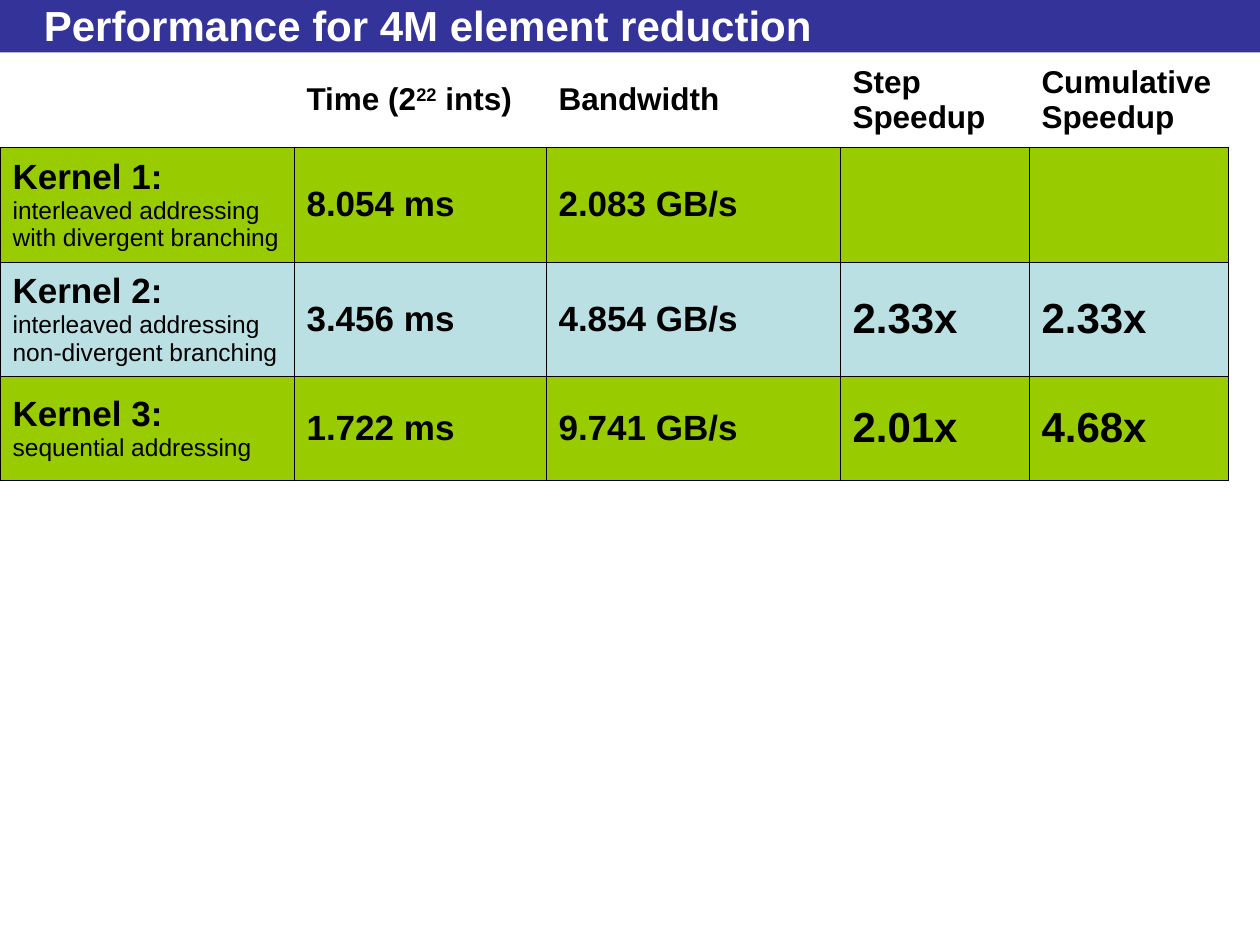
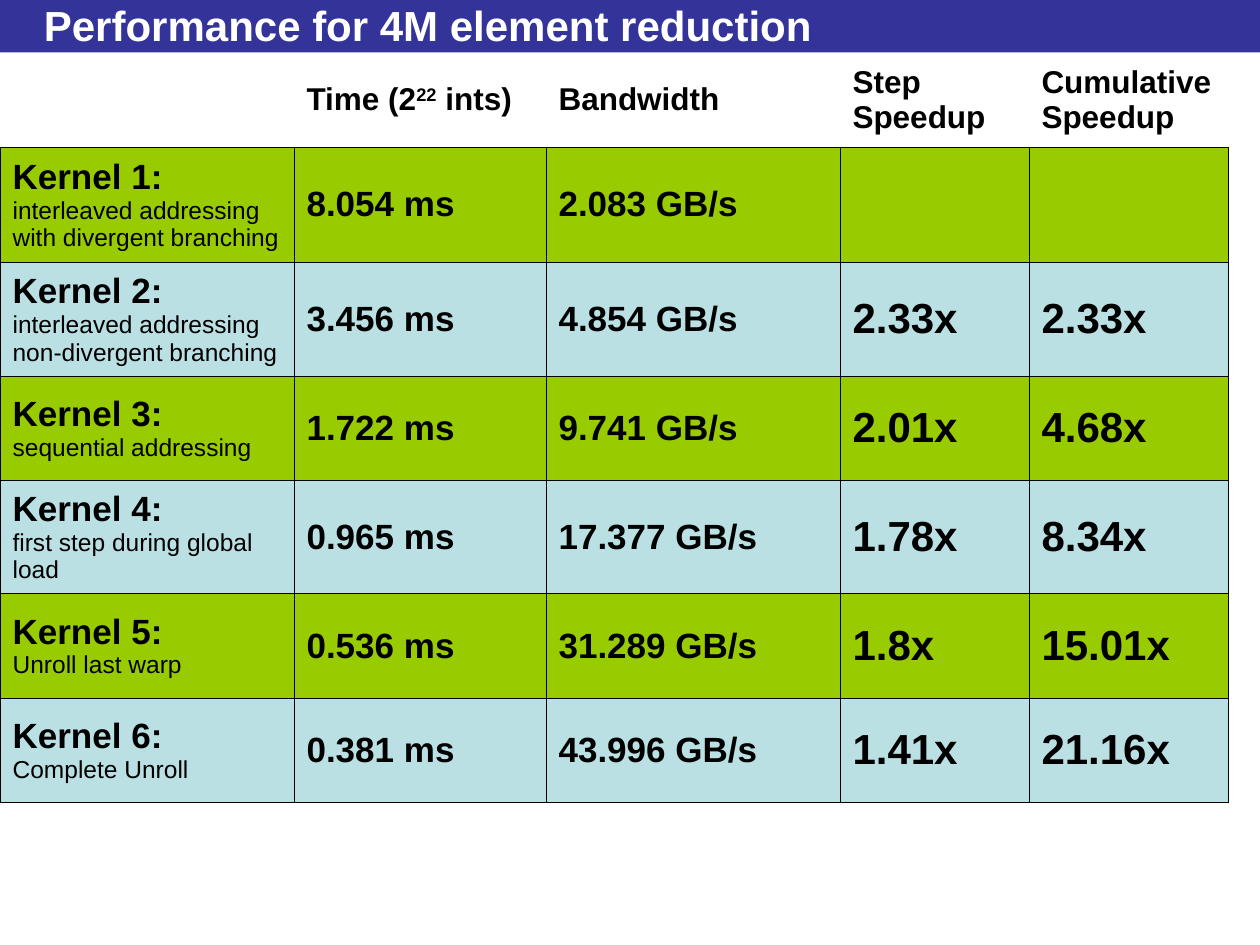
from dataclasses import dataclass

from lxml.etree import SubElement
from pptx import Presentation
from pptx.dml.color import RGBColor
from pptx.enum.shapes import MSO_SHAPE
from pptx.enum.text import MSO_ANCHOR
from pptx.oxml.ns import qn
from pptx.slide import Slide
from pptx.table import Table, _Cell
from pptx.text.text import _Paragraph
from pptx.util import Pt

COLORS = {
    "band": "333399",
    "title": "FFFFFF",
    "text": "000000",
    "border": "000000",
    "odd_row": "99CC00",
    "even_row": "BBE0E3",
}
FONT = "Arial"
TITLE = "Performance for 4M element reduction"
SLIDE_WIDTH, SLIDE_HEIGHT = 720, 540
BAND_HEIGHT = 30
HEADER_HEIGHT = 54
COLUMN_WIDTHS = (168, 144, 168, 108, 114)
BORDER_WIDTH = 0.45
ALL_SIDES = "LRTB"


@dataclass(frozen=True)
class Span:
    text: str
    size: float
    bold: bool = True
    superscript: bool = False


@dataclass(frozen=True)
class Kernel:
    description: tuple[str, ...]
    time: str
    bandwidth: str
    step_speedup: str
    cumulative_speedup: str
    row_height: float


HEADINGS = (
    (),
    (Span("Time (2", 18), Span("22", 18, superscript=True), Span(" ints)", 18)),
    (Span("Bandwidth", 18),),
    (Span("Step Speedup", 18),),
    (Span("Cumulative Speedup", 18),),
)
KERNELS = (
    Kernel(("interleaved addressing", "with divergent branching"),
           "8.054 ms", "2.083 GB/s", "", "", 66),
    Kernel(("interleaved addressing", "non-divergent branching"),
           "3.456 ms", "4.854 GB/s", "2.33x", "2.33x", 65),
    Kernel(("sequential addressing",),
           "1.722 ms", "9.741 GB/s", "2.01x", "4.68x", 59.5),
    Kernel(("first step during global load",),
           "0.965 ms", "17.377 GB/s", "1.78x", "8.34x", 64.5),
    Kernel(("Unroll last warp",),
           "0.536 ms", "31.289 GB/s", "1.8x", "15.01x", 59.5),
    Kernel(("Complete Unroll",),
           "0.381 ms", "43.996 GB/s", "1.41x", "21.16x", 59.5),
)
KERNELS_PER_SLIDE = (3, 6)


def add_span(paragraph: _Paragraph, span: Span, color: str = "text") -> None:
    run = paragraph.add_run()
    run.text = span.text
    run.font.name = FONT
    run.font.size = Pt(span.size)
    run.font.bold = span.bold
    run.font.color.rgb = RGBColor.from_string(COLORS[color])
    if span.superscript:
        run._r.get_or_add_rPr().set("baseline", "30000")


def set_borders(cell: _Cell, visible_sides: str) -> None:
    """Draw the given sides (letters of LRTB) and clear the others."""
    properties = cell._tc.get_or_add_tcPr()
    for side in ALL_SIDES:
        line = SubElement(properties, qn(f"a:ln{side}"), w=str(Pt(BORDER_WIDTH)))
        if side in visible_sides:
            fill = SubElement(line, qn("a:solidFill"))
            SubElement(fill, qn("a:srgbClr"), val=COLORS["border"])
        else:
            SubElement(line, qn("a:noFill"))


def format_cell(cell: _Cell, borders: str, fill: str | None = None) -> None:
    set_borders(cell, borders)
    cell.vertical_anchor = MSO_ANCHOR.MIDDLE
    if fill:
        cell.fill.solid()
        cell.fill.fore_color.rgb = RGBColor.from_string(COLORS[fill])
    else:
        cell.fill.background()


def add_title_band(slide: Slide) -> None:
    band = slide.shapes.add_shape(
        MSO_SHAPE.RECTANGLE, 0, 0, Pt(SLIDE_WIDTH), Pt(BAND_HEIGHT))
    band.shadow.inherit = False
    band.fill.solid()
    band.fill.fore_color.rgb = RGBColor.from_string(COLORS["band"])
    band.line.fill.background()

    title = slide.shapes.add_textbox(Pt(18), Pt(4), Pt(666), Pt(20))
    title.text_frame.word_wrap = True
    title.text_frame.vertical_anchor = MSO_ANCHOR.MIDDLE
    add_span(title.text_frame.paragraphs[0], Span(TITLE, 24), "title")


def fill_header(table: Table) -> None:
    for column, heading in enumerate(HEADINGS):
        cell = table.cell(0, column)
        format_cell(cell, "B")
        for span in heading:
            add_span(cell.text_frame.paragraphs[0], span)


def fill_kernel_row(table: Table, number: int, kernel: Kernel) -> None:
    row_color = "odd_row" if number % 2 else "even_row"
    cells = [table.cell(number, column) for column in range(len(COLUMN_WIDTHS))]
    for cell in cells:
        format_cell(cell, ALL_SIDES, row_color)

    label = cells[0].text_frame.paragraphs[0]
    add_span(label, Span(f"Kernel {number}:", 20))
    for line in kernel.description:
        label.add_line_break()
        add_span(label, Span(line, 14, bold=False))

    measures = (
        Span(kernel.time, 20),
        Span(kernel.bandwidth, 20),
        Span(kernel.step_speedup, 24),
        Span(kernel.cumulative_speedup, 24),
    )
    for cell, measure in zip(cells[1:], measures):
        if measure.text:
            add_span(cell.text_frame.paragraphs[0], measure)


def add_performance_table(slide: Slide, kernels: tuple[Kernel, ...]) -> None:
    heights = [HEADER_HEIGHT, *(kernel.row_height for kernel in kernels)]
    table = slide.shapes.add_table(
        len(heights), len(COLUMN_WIDTHS), 0, Pt(BAND_HEIGHT),
        Pt(sum(COLUMN_WIDTHS)), Pt(sum(heights))).table
    table.first_row = False
    table.horz_banding = False
    for column, width in zip(table.columns, COLUMN_WIDTHS):
        column.width = Pt(width)
    for row, height in zip(table.rows, heights):
        row.height = Pt(height)
    fill_header(table)
    for number, kernel in enumerate(kernels, start=1):
        fill_kernel_row(table, number, kernel)


def main() -> None:
    presentation = Presentation()
    presentation.slide_width = Pt(SLIDE_WIDTH)
    presentation.slide_height = Pt(SLIDE_HEIGHT)
    blank_layout = presentation.slide_layouts[6]
    for kernel_count in KERNELS_PER_SLIDE:
        slide = presentation.slides.add_slide(blank_layout)
        add_title_band(slide)
        add_performance_table(slide, KERNELS[:kernel_count])
    presentation.save("out.pptx")


if __name__ == "__main__":
    main()
